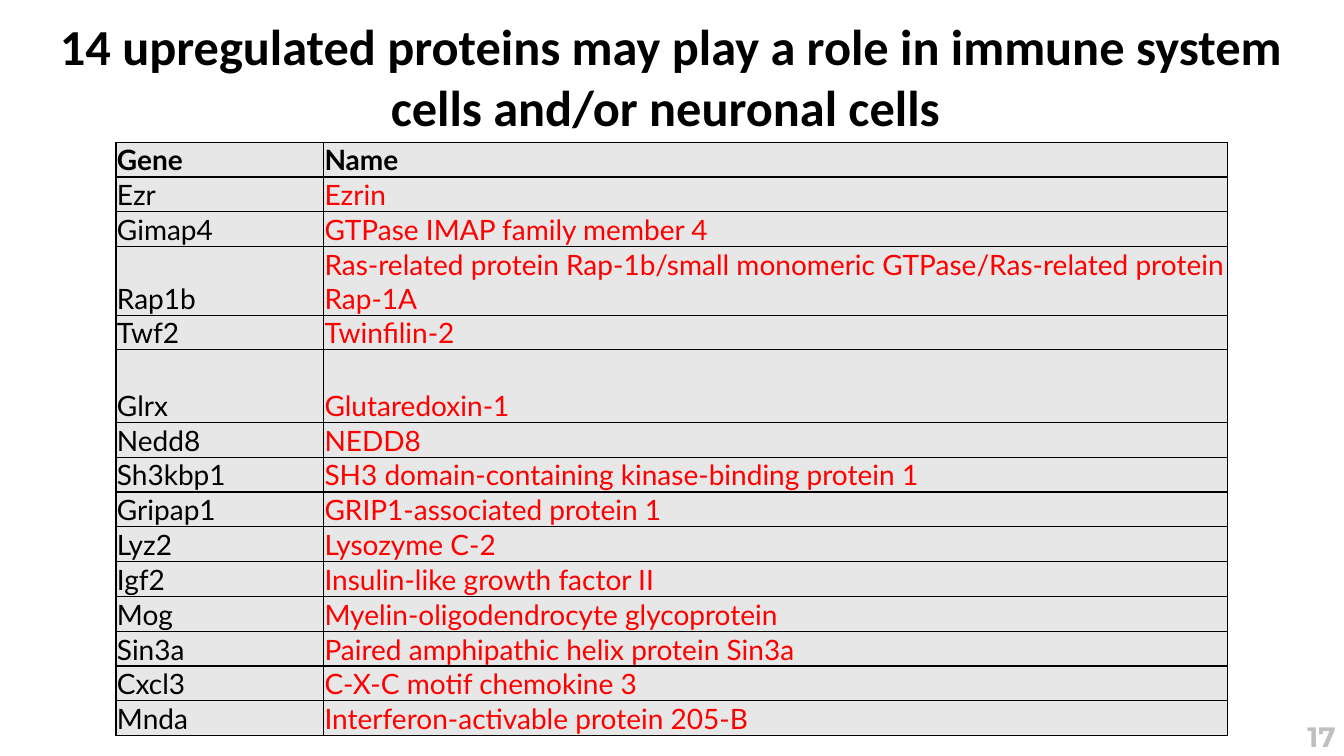
from lxml import etree
from pptx import Presentation
from pptx.dml.color import RGBColor
from pptx.enum.text import MSO_ANCHOR, MSO_AUTO_SIZE, PP_ALIGN
from pptx.oxml.ns import qn
from pptx.util import Pt

TOP, MIDDLE, BOTTOM = MSO_ANCHOR.TOP, MSO_ANCHOR.MIDDLE, MSO_ANCHOR.BOTTOM
LEFT, CENTER, RIGHT = PP_ALIGN.LEFT, PP_ALIGN.CENTER, PP_ALIGN.RIGHT
NO_AUTOFIT = MSO_AUTO_SIZE.NONE
BLACK = RGBColor(0x00, 0x00, 0x00)
RED = RGBColor(0xFF, 0x00, 0x00)
CELL_GREY = RGBColor(0xE7, 0xE7, 0xE7)
NUMBER_GREY = RGBColor(0xBF, 0xBF, 0xBF)

PROTEINS = [
    ("Ezr", "Ezrin"),
    ("Gimap4", "GTPase IMAP family member 4"),
    ("Rap1b", "Ras-related protein Rap-1b/small monomeric GTPase/Ras-related protein Rap-1A"),
    ("Twf2", "Twinfilin-2"),
    ("Glrx", "Glutaredoxin-1"),
    ("Nedd8", "NEDD8"),
    ("Sh3kbp1", "SH3 domain-containing kinase-binding protein 1"),
    ("Gripap1", "GRIP1-associated protein 1"),
    ("Lyz2", "Lysozyme C-2"),
    ("Igf2", "Insulin-like growth factor II"),
    ("Mog", "Myelin-oligodendrocyte glycoprotein"),
    ("Sin3a", "Paired amphipathic helix protein Sin3a"),
    ("Cxcl3", "C-X-C motif chemokine 3"),
    ("Mnda", "Interferon-activable protein 205-B"),
]
ROW_HEIGHT = 24.5
TALL_ROWS = {"Rap1b": 49, "Glrx": 51.8}


class ProteinSlide:
    table_font = "Lato"
    table_size = 20
    border_width = 1

    def __init__(self, presentation):
        self.slide = presentation.slides.add_slide(presentation.slide_layouts[5])

    def set_text(self, frame, text, font_name, size, color, bold, alignment):
        paragraph = frame.paragraphs[0]
        paragraph.text = text
        paragraph.alignment = alignment
        font = paragraph.font
        font.name, font.size, font.bold = font_name, Pt(size), bold
        font.color.rgb = color

    def title(self, text, left, top, width, height):
        shape = self.slide.shapes.title
        shape.left, shape.top = Pt(left), Pt(top)
        shape.width, shape.height = Pt(width), Pt(height)
        frame = shape.text_frame
        frame.word_wrap = True
        frame.auto_size = NO_AUTOFIT
        frame.vertical_anchor = TOP
        self.set_text(frame, text, "Calibri", 36, BLACK, True, CENTER)

    def page_number(self, text, left, top, width, height):
        shape = self.slide.shapes.add_textbox(Pt(left), Pt(top), Pt(width), Pt(height))
        frame = shape.text_frame
        frame.word_wrap = True
        frame.vertical_anchor = MIDDLE
        self.set_text(frame, text, "Montserrat", 20, NUMBER_GREY, True, RIGHT)

    def table(self, rows, left, top, column_widths, row_heights):
        table = self.slide.shapes.add_table(
            len(rows), len(column_widths), Pt(left), Pt(top),
            Pt(sum(column_widths)), Pt(sum(row_heights))).table
        for column, width in zip(table.columns, column_widths):
            column.width = Pt(width)
        for row, height in zip(table.rows, row_heights):
            row.height = Pt(height)
        for row_index, texts in enumerate(rows):
            header = row_index == 0
            for column_index, text in enumerate(texts):
                color = RED if column_index and not header else BLACK
                self.cell(table.cell(row_index, column_index), text, color, header)

    def cell(self, cell, text, color, bold):
        cell.margin_left = cell.margin_right = cell.margin_top = Pt(0.72)
        cell.margin_bottom = Pt(0)
        cell.vertical_anchor = BOTTOM
        self.set_text(cell.text_frame, text, self.table_font, self.table_size, color, bold, LEFT)
        properties = cell._tc.get_or_add_tcPr()
        for side in ("a:lnL", "a:lnR", "a:lnT", "a:lnB"):
            line = etree.SubElement(properties, qn(side), w=str(Pt(self.border_width)))
            fill = etree.SubElement(line, qn("a:solidFill"))
            etree.SubElement(fill, qn("a:srgbClr"), val=str(BLACK))
        cell.fill.solid()
        cell.fill.fore_color.rgb = CELL_GREY


def main():
    presentation = Presentation()
    presentation.slide_width, presentation.slide_height = Pt(960), Pt(540)
    slide = ProteinSlide(presentation)
    slide.title(
        "14 upregulated proteins may play a role in immune system cells and/or neuronal cells ",
        24.5, 7.2, 910, 94.3)
    rows = [("Gene", "Name")] + PROTEINS
    heights = [TALL_ROWS.get(gene, ROW_HEIGHT) for gene, name in rows]
    slide.table(rows, 82.8, 101.5, [148.3, 645.8], heights)
    slide.page_number("17", 730.8, 470.9, 230.4, 110.2)
    presentation.save("out.pptx")


if __name__ == "__main__":
    main()
